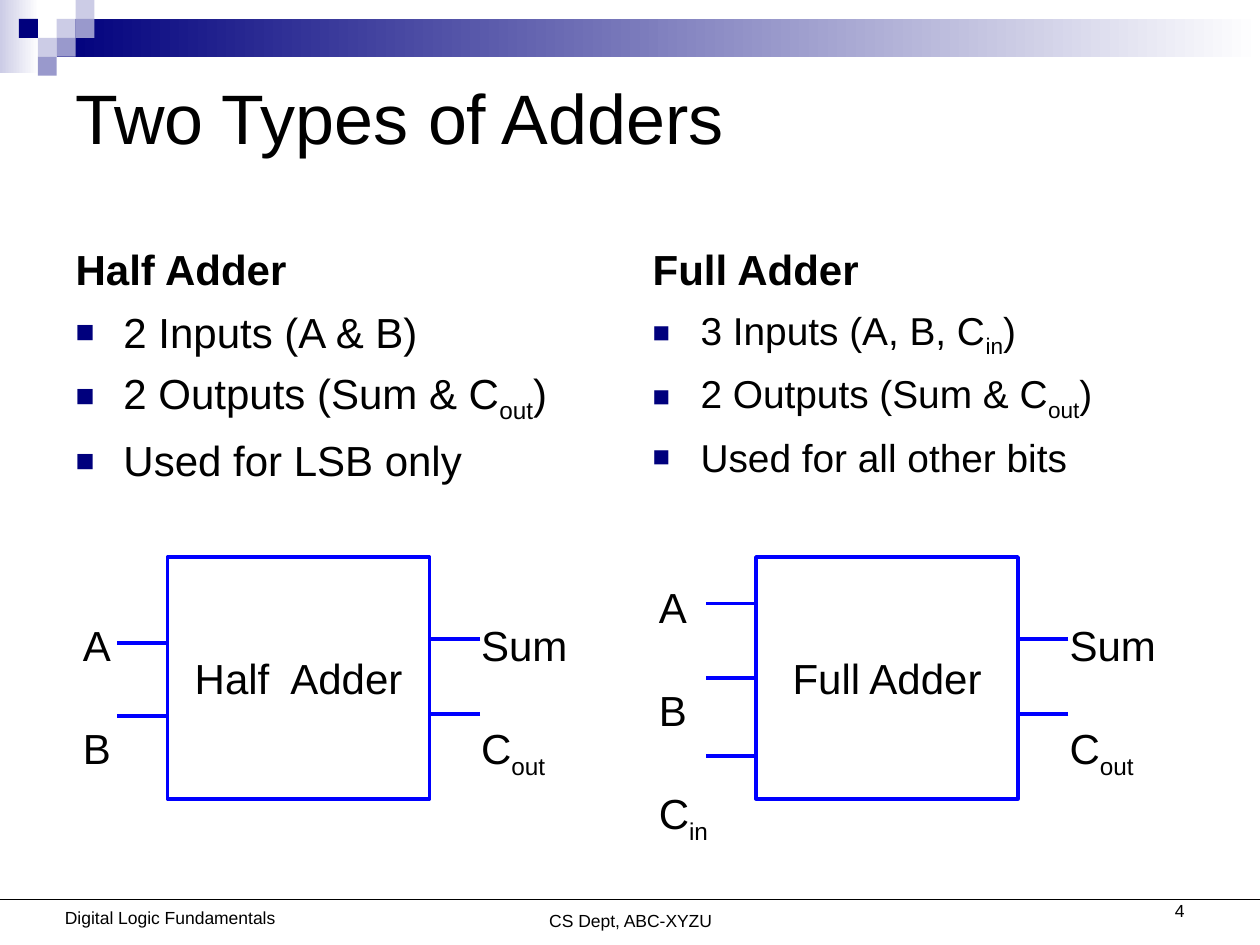
from lxml.etree import SubElement
from pptx import Presentation
from pptx.dml.color import RGBColor
from pptx.enum.shapes import MSO_CONNECTOR as CONN, MSO_SHAPE as SHAPE
from pptx.enum.text import MSO_ANCHOR as ANCHOR, MSO_AUTO_SIZE as AUTO, PP_ALIGN as ALIGN
from pptx.oxml.ns import qn
from pptx.util import Inches, Pt

NAVY = RGBColor(0x00, 0x00, 0x7D)
PALE = RGBColor(0xCC, 0xCC, 0xE6)
LILAC = RGBColor(0x99, 0x99, 0xCC)
BLUE = RGBColor(0x00, 0x00, 0xFF)
BLACK = RGBColor(0, 0, 0)
WHITE = RGBColor(0xFF, 0xFF, 0xFF)

# Text between underscores is subscript.
TITLE = "Two Types of Adders"
ADDERS = [
    {"heading": "Half Adder", "left": 0.5, "list_height": 1.62, "size": 24,
     "points": ["2 Inputs (A & B)", "2 Outputs (Sum & C_out_)", "Used for LSB only"],
     "block": "Half  Adder", "block_left": 1.33,
     "inputs": ["A", "B"], "input_ys": [5.1, 5.68], "input_box": (0.56, 4.87, 0.42, 1.3)},
    {"heading": "Full Adder", "left": 5.08, "list_height": 1.46, "size": 22.2,
     "points": ["3 Inputs (A, B, C_in_)", "2 Outputs (Sum & C_out_)", "Used for all other bits"],
     "block": "Full Adder", "block_left": 6,
     "inputs": ["A", "B", "C_in_"], "input_ys": [4.79, 5.38, 6],
     "input_box": (5.13, 4.57, 0.59, 2.16)},
]
OUTPUTS, OUTPUT_YS = ["Sum", "C_out_"], [5.07, 5.67]
BLOCK_TOP, BLOCK_W, BLOCK_H, STUB = 4.42, 2.08, 1.92, 0.4
COLUMN_W = 4.42

GRADIENTS = [((0, 0, 0.31, 0.58), PALE), ((0.45, 0.15, 9.55, 0.3), NAVY)]
TILE = 0.15
TILES = [(3, 1, PALE), (4, 0, PALE), (4, 1, LILAC), (2, 2, PALE),
         (1, 1, NAVY), (3, 2, LILAC), (2, 3, LILAC)]  # column, row, colour
FOOTERS = [
    ("CS Dept, ABC-XYZU", (2.92, 7.17, 4.17, 0.28), ALIGN.CENTER),
    ("Digital Logic Fundamentals", (0.35, 7.15, 2, 0.28), ALIGN.CENTER),
    ("4", (7.17, 7.09, 2.33, 0.26), ALIGN.RIGHT),
]


def inches(box):
    return [Inches(v) for v in box]


def place(sp, box):
    for name, value in zip(("left", "top", "width", "height"), inches(box)):
        setattr(sp, name, value)


def write(sp, lines, size, bold=False, wrap=True, anchor=ANCHOR.TOP, **para):
    tf = sp.text_frame
    for name, value in {"auto_size": AUTO.NONE, "word_wrap": wrap,
                        "vertical_anchor": anchor}.items():
        setattr(tf, name, value)
    for i, line in enumerate(lines):
        p = tf.add_paragraph() if i else tf.paragraphs[0]
        for name, value in para.items():
            setattr(p, name, value)
        for j, part in enumerate(line.split("_")):
            if not part:
                continue
            r = p.add_run()
            r.text = part
            for name, value in {"name": "Arial", "size": Pt(size), "bold": bold}.items():
                setattr(r.font, name, value)
            r.font.color.rgb = BLACK
            if j % 2:
                r._r.get_or_add_rPr().set("baseline", "-25000")
    return tf


def add_bullet(p):
    pPr = p._p.get_or_add_pPr()
    pPr.set("marL", str(Inches(0.38)))
    pPr.set("indent", str(-Inches(0.38)))
    SubElement(SubElement(pPr, qn("a:buClr")), qn("a:srgbClr"), val=str(NAVY))
    SubElement(pPr, qn("a:buSzPct"), val="75000")
    SubElement(pPr, qn("a:buFont"), typeface="Arial")
    SubElement(pPr, qn("a:buChar"), char="■")


def add_rect(s, box):
    sp = s.shapes.add_shape(SHAPE.RECTANGLE, *inches(box))
    sp.shadow.inherit = False
    sp.line.fill.background()
    return sp


def add_line(s, x1, x2, y, color, width):
    line = s.shapes.add_connector(CONN.STRAIGHT, *inches((x1, y, x2, y)))
    line.line.color.rgb = color
    line.line.width = Pt(width)
    SubElement(line._element.spPr, qn("a:effectLst"))


def add_text(s, box, lines, size, **options):
    return write(s.shapes.add_textbox(*inches(box)), lines, size, **options)


def add_decoration(s):
    for box, color in GRADIENTS:
        fill = add_rect(s, box).fill
        fill.gradient()
        fill.gradient_angle = 0
        for stop, rgb, position in zip(fill.gradient_stops, (color, WHITE), (0, 1)):
            stop.color.rgb = rgb
            stop.position = position
    for col, row, color in TILES:
        fill = add_rect(s, (col * TILE, row * TILE, TILE, TILE)).fill
        fill.solid()
        fill.fore_color.rgb = color
    add_line(s, 0, 10, 7.14, BLACK, 0.75)
    for text, box, align in FOOTERS:
        add_text(s, box, [text], 10, alignment=align)


def add_adder(s, adder, heading, body):
    place(heading, (adder["left"], 1.68, COLUMN_W, 0.7))
    write(heading, [adder["heading"]], 24, bold=True, anchor=ANCHOR.BOTTOM, space_before=Pt(6))
    place(body, (adder["left"], 2.38, COLUMN_W, adder["list_height"]))
    for p in write(body, adder["points"], adder["size"], space_before=Pt(6)).paragraphs:
        add_bullet(p)

    left = adder["block_left"]
    right = left + BLOCK_W
    block = add_rect(s, (left, BLOCK_TOP, BLOCK_W, BLOCK_H))
    block.fill.background()
    block.line.color.rgb = BLUE
    block.line.width = Pt(2)
    write(block, [adder["block"]], 24, anchor=ANCHOR.MIDDLE, alignment=ALIGN.CENTER)
    for y in adder["input_ys"]:
        add_line(s, left, left - STUB, y, BLUE, 2.25)
    for y in OUTPUT_YS:
        add_line(s, right + STUB, right, y, BLUE, 2.25)
    for box, names in ((adder["input_box"], adder["inputs"]),
                       ((right + 0.31, 4.87, 0.88, 1.36), OUTPUTS)):
        tf = add_text(s, box, names, 24, wrap=False)
        for p in tf.paragraphs[1:]:
            p.space_before = Pt(30)


def main():
    prs = Presentation()
    prs.slide_width, prs.slide_height = Inches(10), Inches(7.5)
    s = prs.slides.add_slide(prs.slide_layouts.get_by_name("Comparison"))
    title, *columns = list(s.placeholders)
    add_decoration(s)
    place(title, (0.5, 0.3, 9, 1.25))
    write(title, [TITLE], 40, anchor=ANCHOR.MIDDLE, alignment=ALIGN.LEFT)
    for adder, heading, body in zip(ADDERS, columns[::2], columns[1::2]):
        add_adder(s, adder, heading, body)
    prs.save("out.pptx")


if __name__ == "__main__":
    main()
